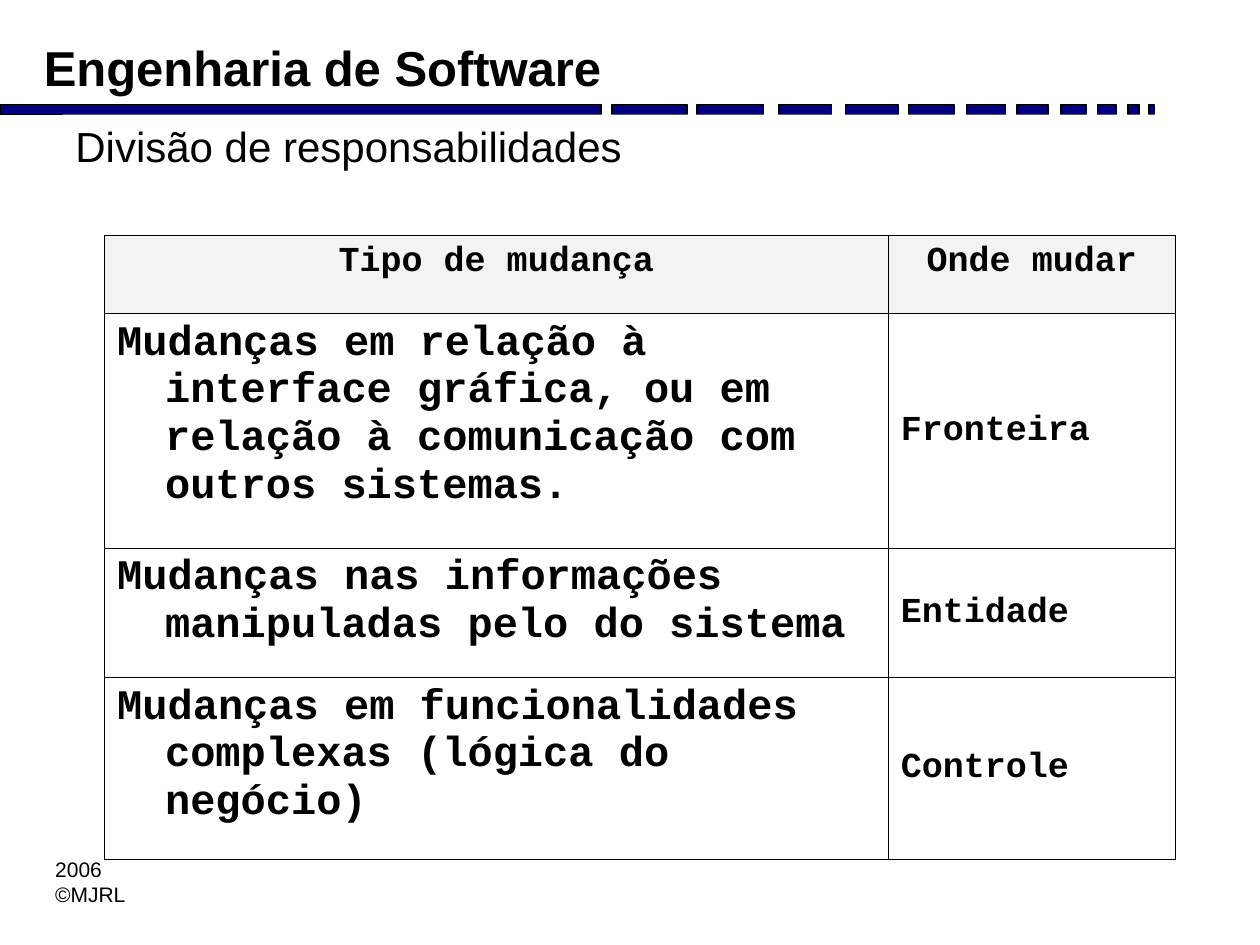
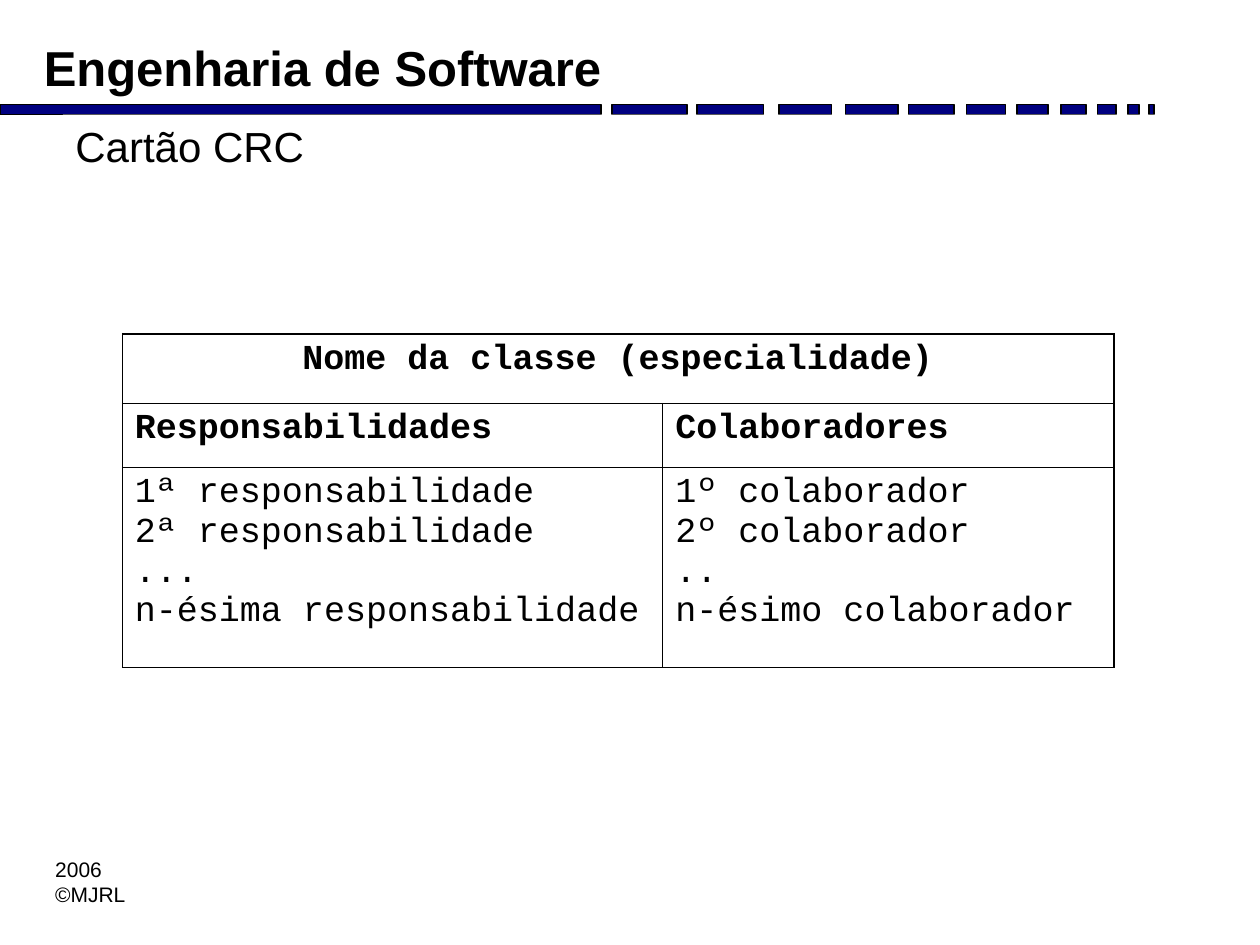
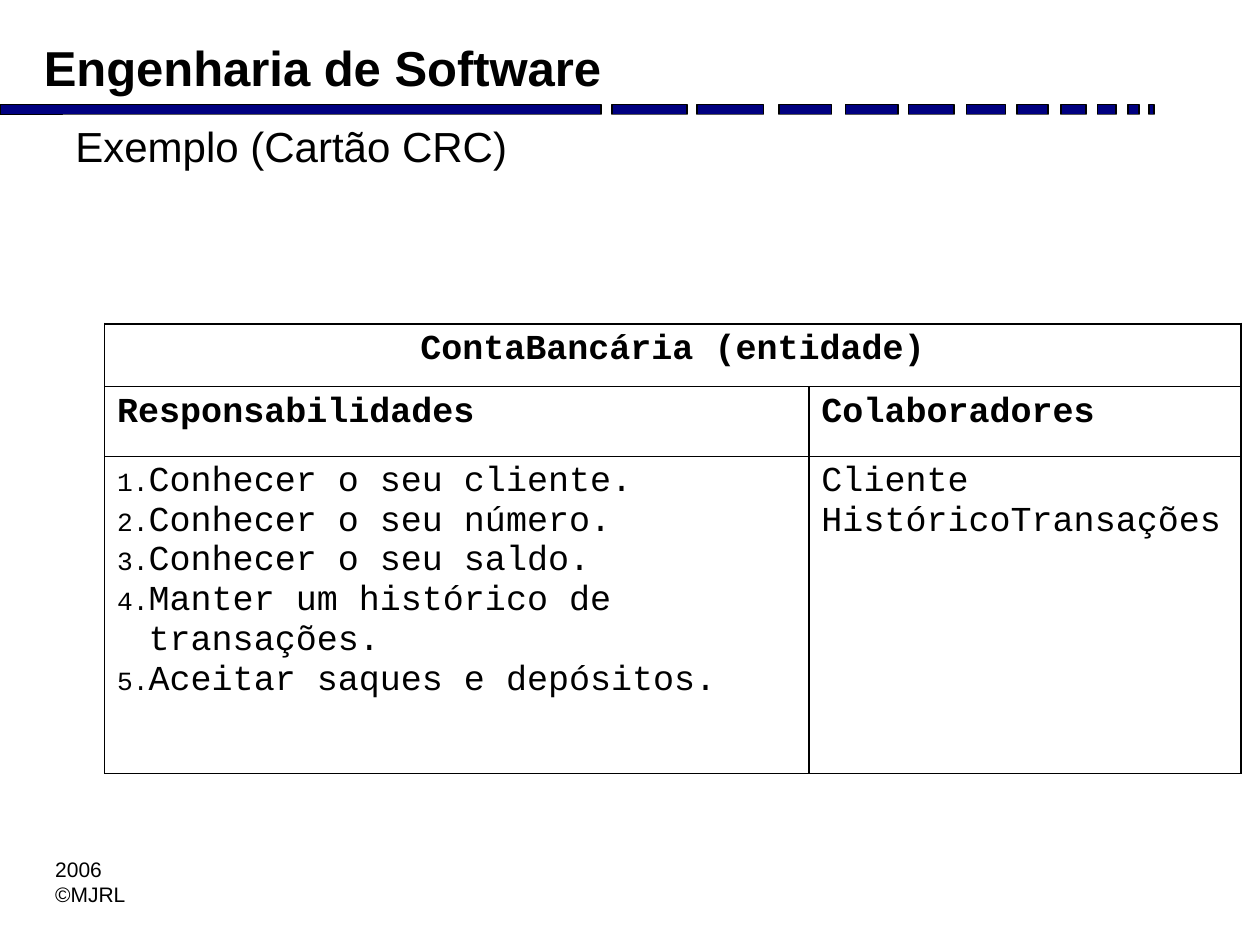
from dataclasses import dataclass

from lxml import etree
from pptx import Presentation
from pptx.dml.color import RGBColor
from pptx.enum.shapes import MSO_SHAPE
from pptx.enum.text import MSO_ANCHOR, PP_ALIGN
from pptx.oxml.ns import qn
from pptx.util import Inches, Pt

RECT = MSO_SHAPE.RECTANGLE
LEFT, CENTER, JUSTIFY = PP_ALIGN.LEFT, PP_ALIGN.CENTER, PP_ALIGN.JUSTIFY
TOP, MIDDLE = MSO_ANCHOR.TOP, MSO_ANCHOR.MIDDLE

COLORS = {"text": "000000", "band": "000080", "paper": "FFFFFF", "header": "F3F3F3"}
SANS, MONO = "Arial", "Courier New"
HANGING, NUMBER_INDENT = 0.38, 0.25
THIN, MEDIUM, THICK = 0.45, 0.96, 1.47
BAND_TOP, BAND_HEIGHT = 0.83, 0.08
BAND_DASHES = [  # left, width
    (0, 4.77), (4.86, 0.59), (5.53, 0.53), (6.18, 0.42), (6.71, 0.42), (7.21, 0.36),
    (7.67, 0.31), (8.07, 0.25), (8.42, 0.2), (8.71, 0.15), (8.95, 0.09), (9.12, 0.04),
]


@dataclass
class Label:
    left: float
    top: float
    width: float
    height: float
    size: int
    bold: bool = False
    wrap: bool = True
    fill: str = ""


@dataclass
class Cell:
    lines: list[str]
    size: int = 20
    bold: bool = True
    align: PP_ALIGN = LEFT
    anchor: MSO_ANCHOR = TOP
    fill: str = "paper"
    numbered: bool = False


@dataclass
class Grid:
    left: float
    top: float
    cols: list[float]
    rows: list[float]
    cells: list[list[Cell]]
    hanging: float = HANGING
    card: bool = False  # merged heading and heavier borders


COURSE = Label(0.25, 0.25, 4.83, 0.56, 28, bold=True)
FOOTER = Label(0.34, 6.75, 0.76, 0.5, 12, wrap=False)
TITLE = Label(0.5, 0.91, 9, 0.64, 24, fill="paper")


def rgb(name: str) -> RGBColor:
    return RGBColor.from_string(COLORS[name])


def style(p, font: str, size: int, bold: bool) -> None:
    for r in p.runs:
        r.font.name, r.font.size, r.font.bold = font, Pt(size), bold
        r.font.color.rgb = rgb("text")


def add_label(s, label: Label, text: str) -> None:
    box = s.shapes.add_textbox(Inches(label.left), Inches(label.top),
                               Inches(label.width), Inches(label.height))
    if label.fill:
        box.fill.solid()
        box.fill.fore_color.rgb = rgb(label.fill)
    tf = box.text_frame
    tf.word_wrap = label.wrap
    tf.text = text
    for p in tf.paragraphs:
        style(p, SANS, label.size, label.bold)


def add_band(s) -> None:
    for left, width in BAND_DASHES:
        sp = s.shapes.add_shape(RECT, Inches(left), Inches(BAND_TOP),
                                Inches(width), Inches(BAND_HEIGHT))
        sp.shadow.inherit = False
        sp.fill.solid()
        sp.fill.fore_color.rgb = rgb("band")
        sp.line.color.rgb = rgb("text")
        sp.line.width = Pt(1)


def indent(p, hanging: float, numbered: bool) -> None:
    """Hang the lines after the first, with a small number in front if asked."""
    pPr = p._p.get_or_add_pPr()
    pPr.set("marL", str(Inches(hanging)))
    pPr.set("indent", str(-Inches(hanging)))
    if numbered:
        etree.SubElement(pPr, qn("a:buSzPct"), val="75000")
        etree.SubElement(pPr, qn("a:buAutoNum"), type="arabicPeriod")


def set_borders(cell, widths: dict[str, float]) -> None:
    tcPr = cell._tc.get_or_add_tcPr()
    for side in "LRTB":
        ln = etree.SubElement(tcPr, qn(f"a:ln{side}"), w=str(Pt(widths.get(side, THIN))))
        fill = etree.SubElement(ln, qn("a:solidFill"))
        etree.SubElement(fill, qn("a:srgbClr"), val=COLORS["text"])


def card_borders(row: int, col: int) -> dict[str, float]:
    if row == 0:
        return {"T": THICK, "R": THICK}
    return {"L": MEDIUM, "R": THICK} if col else {"R": MEDIUM}


def fill_cell(cell, content: Cell, hanging: float) -> None:
    cell.vertical_anchor = content.anchor
    tf = cell.text_frame
    tf.text = "\n".join(content.lines)
    for p in tf.paragraphs:
        p.alignment = content.align
        indent(p, NUMBER_INDENT if content.numbered else hanging, content.numbered)
        style(p, MONO, content.size, content.bold)
    cell.fill.solid()
    cell.fill.fore_color.rgb = rgb(content.fill)


def add_grid(s, grid: Grid) -> None:
    frame = s.shapes.add_table(len(grid.rows), len(grid.cols), Inches(grid.left),
                               Inches(grid.top), Inches(sum(grid.cols)),
                               Inches(sum(grid.rows)))
    table = frame.table
    table.first_row = table.horz_banding = False
    for column, width in zip(table.columns, grid.cols):
        column.width = Inches(width)
    for row, height in zip(table.rows, grid.rows):
        row.height = Inches(height)
    for i in range(len(grid.rows)):
        for j in range(len(grid.cols)):
            set_borders(table.cell(i, j), card_borders(i, j) if grid.card else {})
    if grid.card:
        table.cell(0, 0).merge(table.cell(0, len(grid.cols) - 1))
    for i, contents in enumerate(grid.cells):
        for j, content in enumerate(contents):
            fill_cell(table.cell(i, j), content, grid.hanging)


def crc_cells(name: str, duties: Cell, partners: Cell) -> list[list[Cell]]:
    return [
        [Cell([name], align=CENTER)],
        [Cell([text], align=JUSTIFY) for text in ("Responsabilidades", "Colaboradores")],
        [duties, partners],
    ]


def add_slide(prs, title: str, grid: Grid) -> None:
    s = prs.slides.add_slide(prs.slide_layouts[6])
    add_band(s)
    add_label(s, COURSE, "Engenharia de Software")
    add_label(s, FOOTER, "2006\n©MJRL")
    add_label(s, TITLE, title)
    add_grid(s, grid)


CHANGES = [
    ("Mudanças em relação à interface gráfica, ou em relação à comunicação "
     "com outros sistemas.", "Fronteira"),
    ("Mudanças nas informações manipuladas pelo do sistema", "Entidade"),
    ("Mudanças em funcionalidades complexas (lógica do negócio)", "Controle"),
]
CHANGE_CELLS = [[Cell([text], align=CENTER, fill="header")
                 for text in ("Tipo de mudança", "Onde mudar")]]
CHANGE_CELLS += [[Cell([change], size=24), Cell([place], align=JUSTIFY, anchor=MIDDLE)]
                 for change, place in CHANGES]

CRC_TEMPLATE = crc_cells(
    "Nome da classe (especialidade)",
    Cell(["1ª responsabilidade", "2ª responsabilidade", "...",
          "n-ésima responsabilidade"], bold=False),
    Cell(["1º colaborador", "2º colaborador", "..", "n-ésimo colaborador"],
         bold=False, align=JUSTIFY),
)
CRC_ACCOUNT = crc_cells(
    "ContaBancária (entidade)",
    Cell(["Conhecer o seu cliente.", "Conhecer o seu número.", "Conhecer o seu saldo.",
          "Manter um histórico de transações.", "Aceitar saques e depósitos."],
         bold=False, numbered=True),
    Cell(["Cliente", "HistóricoTransações"], bold=False),
)

SLIDES = [
    ("Divisão de responsabilidades",
     Grid(0.83, 1.87, [6.22, 2.28], [0.62, 1.86, 1.03, 1.44], CHANGE_CELLS)),
    ("Cartão CRC",
     Grid(0.97, 2.65, [4.29, 3.58], [0.55, 0.51, 1.59], CRC_TEMPLATE, card=True)),
    ("Exemplo (Cartão CRC)",
     Grid(0.83, 2.57, [5.59, 3.43], [0.5, 0.55, 2.52], CRC_ACCOUNT, hanging=0, card=True)),
]


def main() -> None:
    prs = Presentation()
    prs.slide_width, prs.slide_height = Inches(10), Inches(7.5)
    for title, grid in SLIDES:
        add_slide(prs, title, grid)
    prs.save("out.pptx")


if __name__ == "__main__":
    main()
